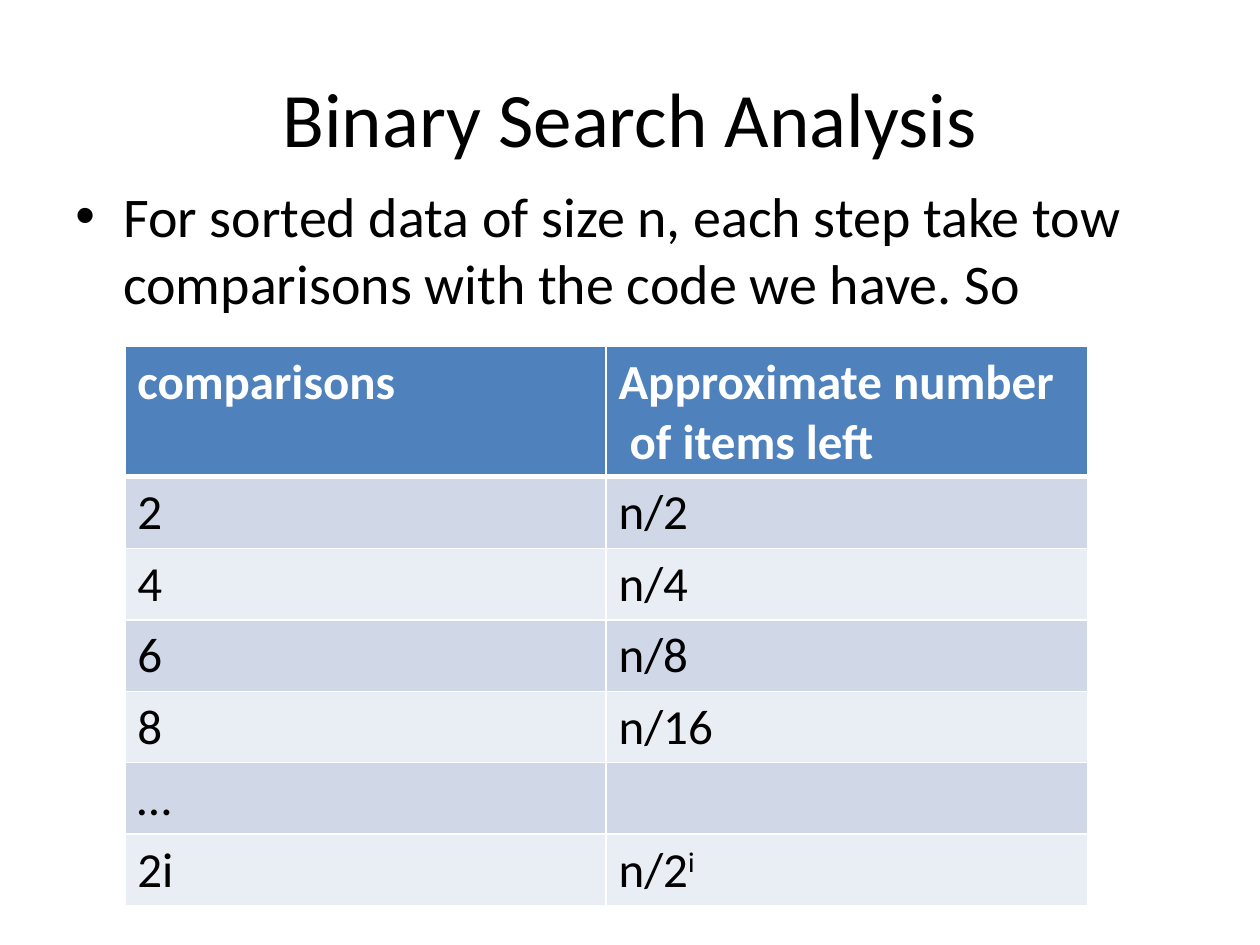
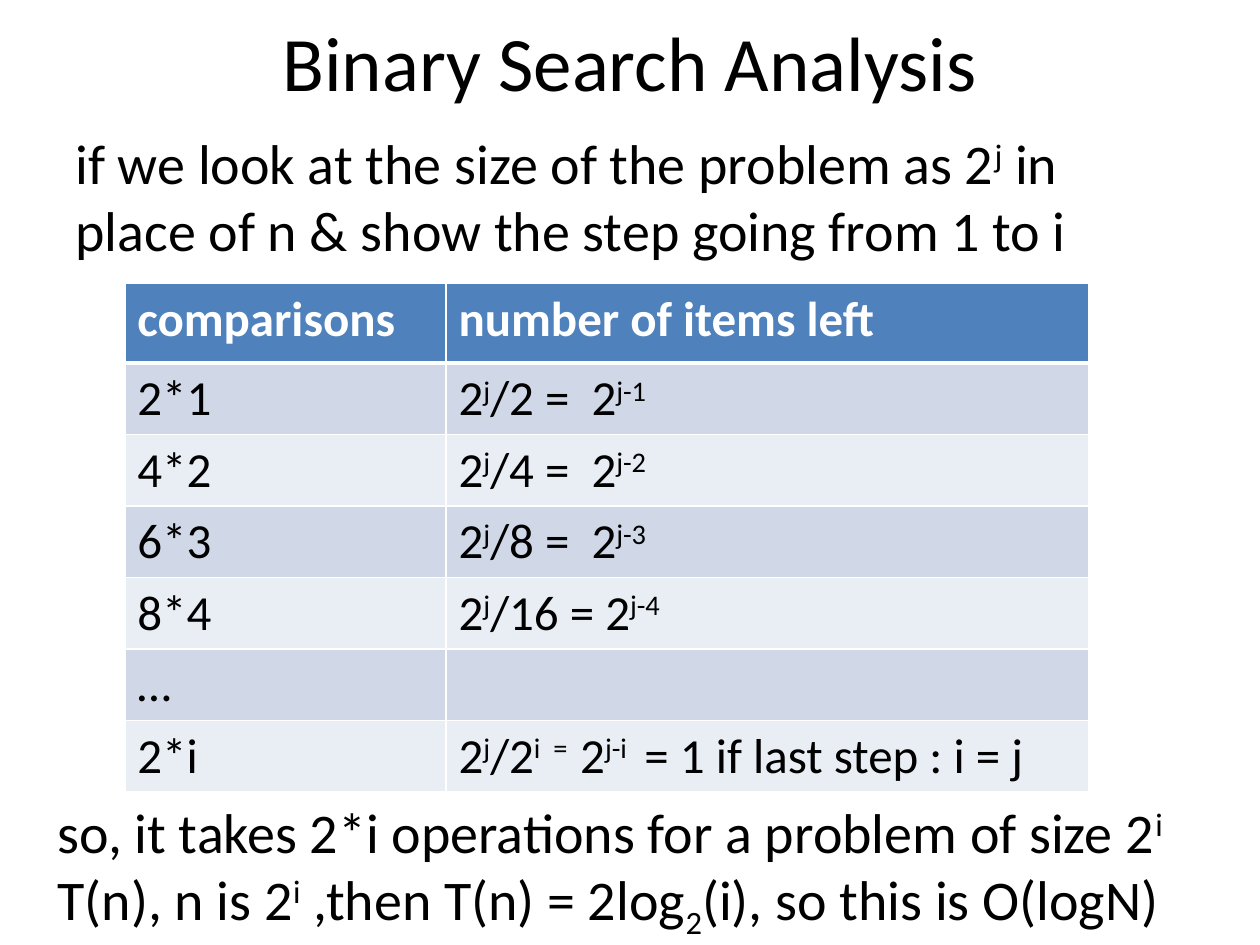
from lxml import etree
from pptx import Presentation
from pptx.dml.color import RGBColor
from pptx.enum.text import MSO_ANCHOR, PP_ALIGN
from pptx.oxml.ns import qn
from pptx.util import Pt

PX = 9144  # EMU per px, 100 px to the inch
FONT = "Calibri"
BLACK, WHITE = "000000", "FFFFFF"
HEADER_FILL = "4F81BD"
BAND_FILLS = ("E9EDF4", "D0D8E8")  # even rows, odd rows
TITLE_SIZE, BODY_SIZE, TABLE_SIZE = 44, 32, 28
SUPERSCRIPT, SUBSCRIPT = 30000, -25000
LEFT, CENTER = PP_ALIGN.LEFT, PP_ALIGN.CENTER
TOP, MIDDLE = MSO_ANCHOR.TOP, MSO_ANCHOR.MIDDLE
TITLE = "Binary Search Analysis"

HALVING_ROWS = [
    ("comparisons", "Approximate number\n of items left"),
    ("2", "n/2"),
    ("4", "n/4"),
    ("6", "n/8"),
    ("8", "n/16"),
    ("…", ""),
    ("2i", "n/2^i^"),
]
POWER_ROWS = [
    ("comparisons", "number of items left"),
    ("2*1", "2^j^/2 =  2^j-1^"),
    ("4*2", "2^j^/4 =  2^j-2^"),
    ("6*3", "2^j^/8 =  2^j-3^"),
    ("8*4", "2^j^/16 = 2^j-4^"),
    ("…", ""),
    ("2*i", "2^j^/2^i  =  ^2^j-i ^ = 1 if last step : i = j"),
]


def color(hex_value):
    return RGBColor.from_string(hex_value)


def split_baselines(text):
    """Yield (text, baseline) pieces: ^raised^ and ~lowered~."""
    for index, part in enumerate(text.split("^")):
        if index % 2:
            yield part, SUPERSCRIPT
            continue
        for position, piece in enumerate(part.split("~")):
            if piece:
                yield piece, SUBSCRIPT if position % 2 else 0


def write_paragraph(paragraph, text, size, font_color=BLACK, bold=False):
    for index, line in enumerate(text.split("\n")):
        if index:
            paragraph.add_line_break()
        for piece, baseline in split_baselines(line):
            run = paragraph.add_run()
            run.text = piece
            run.font.name = FONT
            run.font.size = Pt(size)
            run.font.bold = bold
            run.font.color.rgb = color(font_color)
            if baseline:
                run.font._element.set("baseline", str(baseline))


def add_text(slide, box, lines, size=BODY_SIZE, align=LEFT, anchor=TOP):
    text_box = slide.shapes.add_textbox(*(length * PX for length in box))
    frame = text_box.text_frame
    frame.word_wrap = True
    frame.vertical_anchor = anchor
    for index, line in enumerate(lines):
        paragraph = frame.add_paragraph() if index else frame.paragraphs[0]
        paragraph.alignment = align
        write_paragraph(paragraph, line, size)
    return frame


def add_title(slide, top):
    add_text(slide, (50, top, 900, 125), [TITLE], TITLE_SIZE, CENTER, MIDDLE)


def add_bullet(paragraph, indent):
    properties = paragraph._p.get_or_add_pPr()
    properties.set("marL", str(indent * PX))
    properties.set("indent", str(-indent * PX))
    etree.SubElement(properties, qn("a:buFont"), typeface="Arial")
    etree.SubElement(properties, qn("a:buChar"), char="•")


def set_borders(cell, top, bottom):
    """White borders; top and bottom widths in points, sides 1 pt."""
    properties = cell._tc.get_or_add_tcPr()
    for side, width in (("L", 1), ("R", 1), ("T", top), ("B", bottom)):
        line = etree.SubElement(properties, qn(f"a:ln{side}"), w=str(Pt(width)))
        fill = etree.SubElement(line, qn("a:solidFill"))
        etree.SubElement(fill, qn("a:srgbClr"), val=WHITE)


def add_banded_table(slide, top, column_widths, header_height, row_height, rows):
    heights = [header_height] + [row_height] * (len(rows) - 1)
    box = (99, top, sum(column_widths), sum(heights))
    table = slide.shapes.add_table(
        len(rows), len(column_widths), *(length * PX for length in box)
    ).table
    for column, width in zip(table.columns, column_widths):
        column.width = width * PX
    for row_index, (height, texts) in enumerate(zip(heights, rows)):
        table.rows[row_index].height = height * PX
        header = row_index == 0
        for column_index, text in enumerate(texts):
            cell = table.cell(row_index, column_index)
            set_borders(cell, 3 if row_index == 1 else 1, 3 if header else 1)
            cell.fill.solid()
            cell.fill.fore_color.rgb = color(
                HEADER_FILL if header else BAND_FILLS[row_index % 2]
            )
            write_paragraph(
                cell.text_frame.paragraphs[0], text, TABLE_SIZE,
                WHITE if header else BLACK, header,
            )


def build_halving_slide(slide):
    add_title(slide, 30)
    frame = add_text(slide, (50, 139, 900, 495), [
        "For sorted data of size n, each step take tow comparisons "
        "with the code we have. So",
    ])
    add_bullet(frame.paragraphs[0], 38)
    add_banded_table(slide, 275, (382, 382), 94, 54, HALVING_ROWS)


def build_power_slide(slide):
    add_title(slide, -14)
    add_text(slide, (50, 97, 900, 128), [
        "if we look at the size of the problem as 2^j^ in place of n "
        "& show the step going from 1 to i",
    ])
    add_banded_table(slide, 225, (255, 510), 63, 55, POWER_ROWS)
    add_text(slide, (36, 628, 914, 118), [
        "so, it takes 2*i operations for a problem of size 2^i^",
        "T(n), n is 2^i^ ,then T(n) = 2log~2~(i), so this is O(logN)",
    ])


def main():
    presentation = Presentation()
    presentation.slide_width = 1000 * PX
    presentation.slide_height = 750 * PX
    blank_layout = presentation.slide_layouts[6]
    for build_slide in (build_halving_slide, build_power_slide):
        build_slide(presentation.slides.add_slide(blank_layout))
    presentation.save("out.pptx")


if __name__ == "__main__":
    main()
